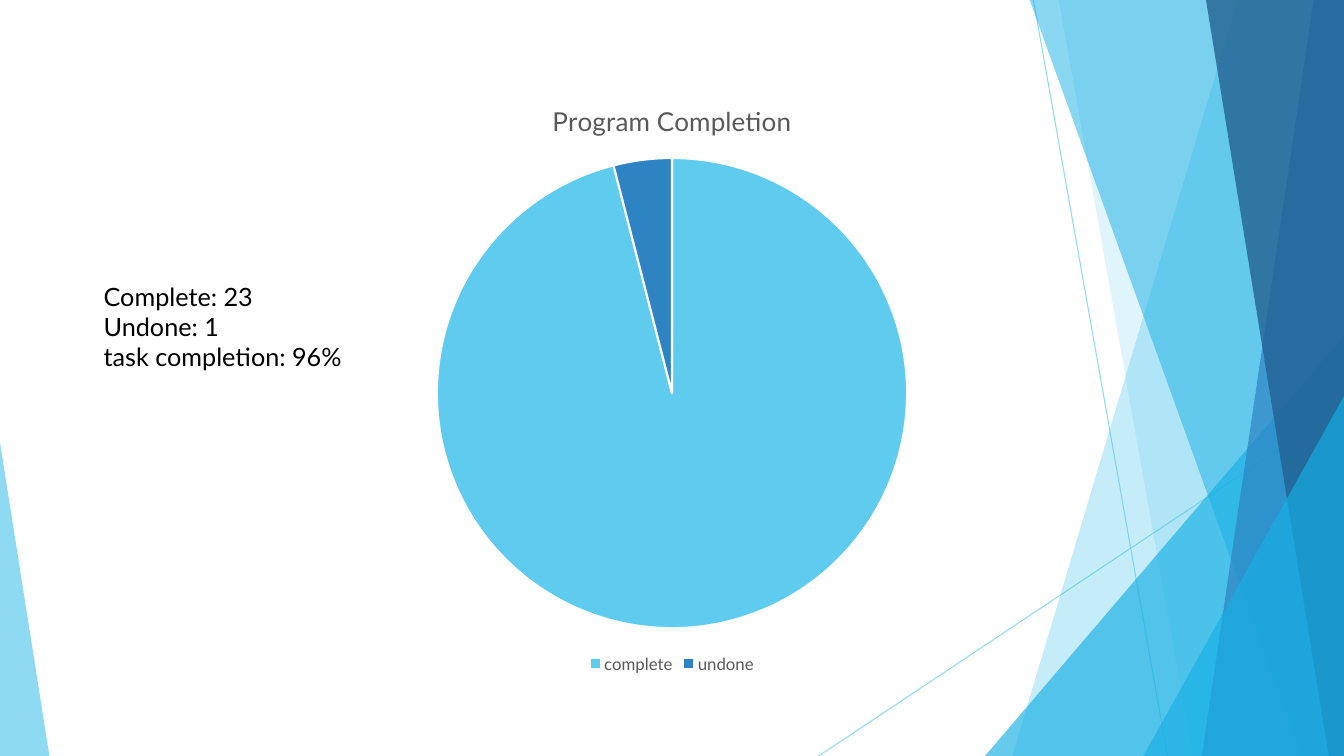
from lxml import etree
from pptx import Presentation
from pptx.chart.data import CategoryChartData
from pptx.dml.color import RGBColor
from pptx.enum.chart import XL_CHART_TYPE as CT, XL_LEGEND_POSITION as LP
from pptx.enum.shapes import MSO_CONNECTOR as MC, MSO_SHAPE as MS
from pptx.oxml.ns import qn
from pptx.util import Inches, Pt

FONT = "Lato"
SKY, CYAN, BLUE, NAVY, GREY = "5FCBEF", "17B0E4", "2E83C3", "226292", "595959"
W, H, TOP = 13.33, 7.5, -0.01


def paint(fill, color, alpha=100):
    fill.solid()
    fill.fore_color.rgb = RGBColor.from_string(color)
    if alpha < 100:
        clr = fill._xPr.find(".//" + qn("a:srgbClr"))
        etree.SubElement(clr, qn("a:alpha"), val=str(alpha * 1000))


def style(font, size, color):
    font.name, font.size, font.bold = FONT, Pt(size), False
    font.color.rgb = RGBColor.from_string(color)


prs = Presentation()
prs.slide_width, prs.slide_height = Inches(W), Inches(H)
s = prs.slides.add_slide(prs.slide_layouts[6])

# Thin background lines
for x1, y1, x2, y2 in [(10.25, 0, 11.58, H), (W, 4.03, 8.12, H)]:
    line = s.shapes.add_connector(MC.STRAIGHT, Inches(x1), Inches(y1), Inches(x2), Inches(y2))
    line.line.width = Pt(0.75)
    paint(line.line.fill, SKY, 70)
    etree.SubElement(line._element.spPr, qn("a:effectLst"))

# Translucent facets, back to front.
# band: top x, bottom x, reaching to the right edge
# triangle: left, top, width, apex position, standing on the bottom edge
facets = [
    ((12.28, 10.04), SKY, 36),
    ((10.5, 11.83), SKY, 20),
    ((9.77, 3.33, 3.56, 1), CYAN, 66),
    ((10.21, 12.91), CYAN, 50),
    ((13.03, 11.92), BLUE, 70),
    ((11.96, 13.18), NAVY, 80),
    ((11.34, 3.93, 1.99, 1), CYAN, 66),
    ((0, 4.39, 0.49, 0), SKY, 70),
]
for geometry, color, alpha in facets:
    if len(geometry) == 2:
        top_x, bottom_x = geometry
        fb = s.shapes.build_freeform(Inches(top_x), Inches(TOP))
        corners = [(W, TOP), (W, H), (bottom_x, H)]
        fb.add_line_segments([(Inches(x), Inches(y)) for x, y in corners])
        sp = fb.convert_to_shape()
    else:
        left, top, width, apex = geometry
        sp = s.shapes.add_shape(MS.ISOSCELES_TRIANGLE, Inches(left), Inches(top),
                                Inches(width), Inches(H - top))
        sp.adjustments[0] = apex
    paint(sp.fill, color, alpha)
    sp.line.fill.background()
    sp.shadow.inherit = False

# Completion pie
data = CategoryChartData()
data.categories = ["complete", "undone"]
data.add_series("Program Completion", (96, 4))
chart = s.shapes.add_chart(CT.PIE, Inches(2.22), Inches(0.79), Inches(8.89), Inches(5.93), data).chart
style(chart.font, 10, "000000")
chart.has_title = True
p = chart.chart_title.text_frame.paragraphs[0]
p.text = "Program Completion"
style(p.font, 18.6, GREY)
chart.has_legend = True
chart.legend.position = LP.BOTTOM
chart.legend.include_in_layout = False
style(chart.legend.font, 12, GREY)
plot = chart.plots[0]
plot.vary_by_categories = True
for i, color in enumerate([SKY, BLUE]):
    fmt = plot.series[0].points[i].format
    paint(fmt.fill, color)
    paint(fmt.line.fill, "FFFFFF")
    fmt.line.width = Pt(1.5)

# Task summary
tf = s.shapes.add_textbox(Inches(0.93), Inches(2.74), Inches(2.58), Inches(1.01)).text_frame
tf.word_wrap = True
tf.text = "Complete: 23\nUndone: 1\ntask completion: 96%"
for p in tf.paragraphs:
    style(p.font, 18, "000000")

prs.save("out.pptx")
